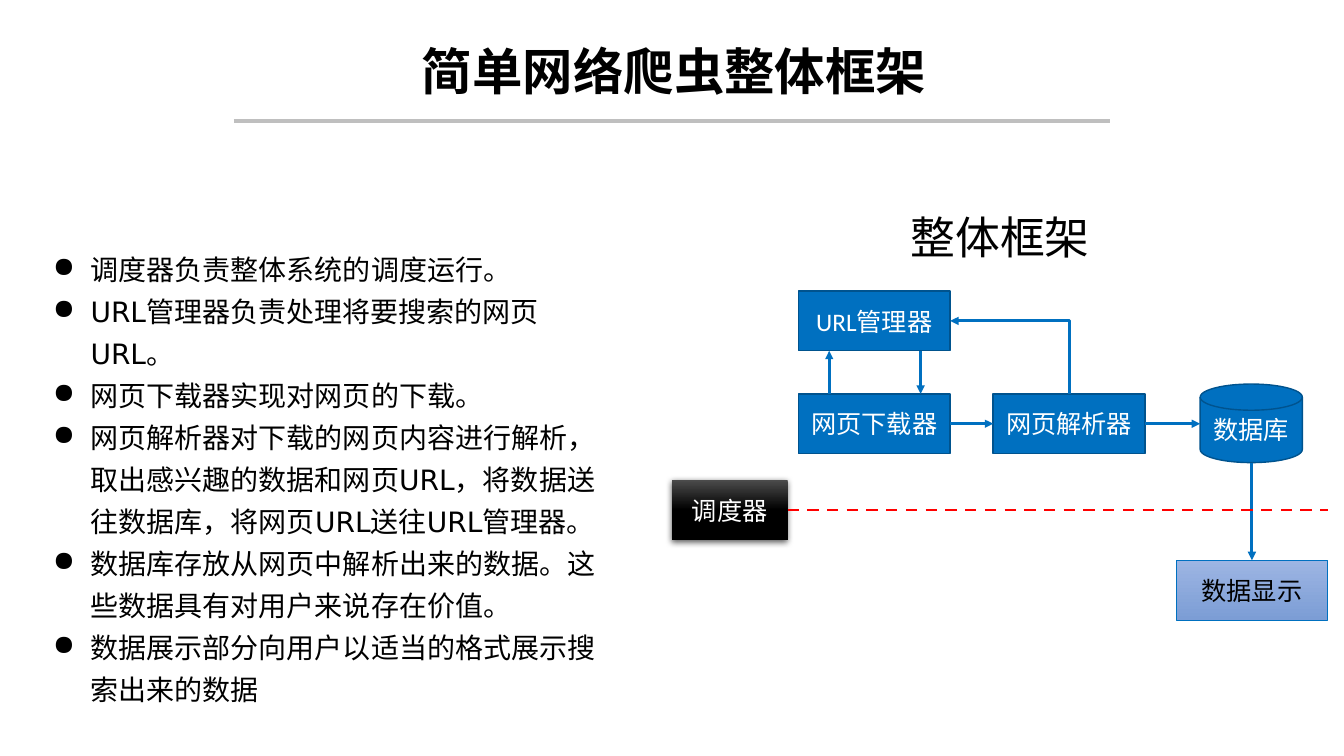
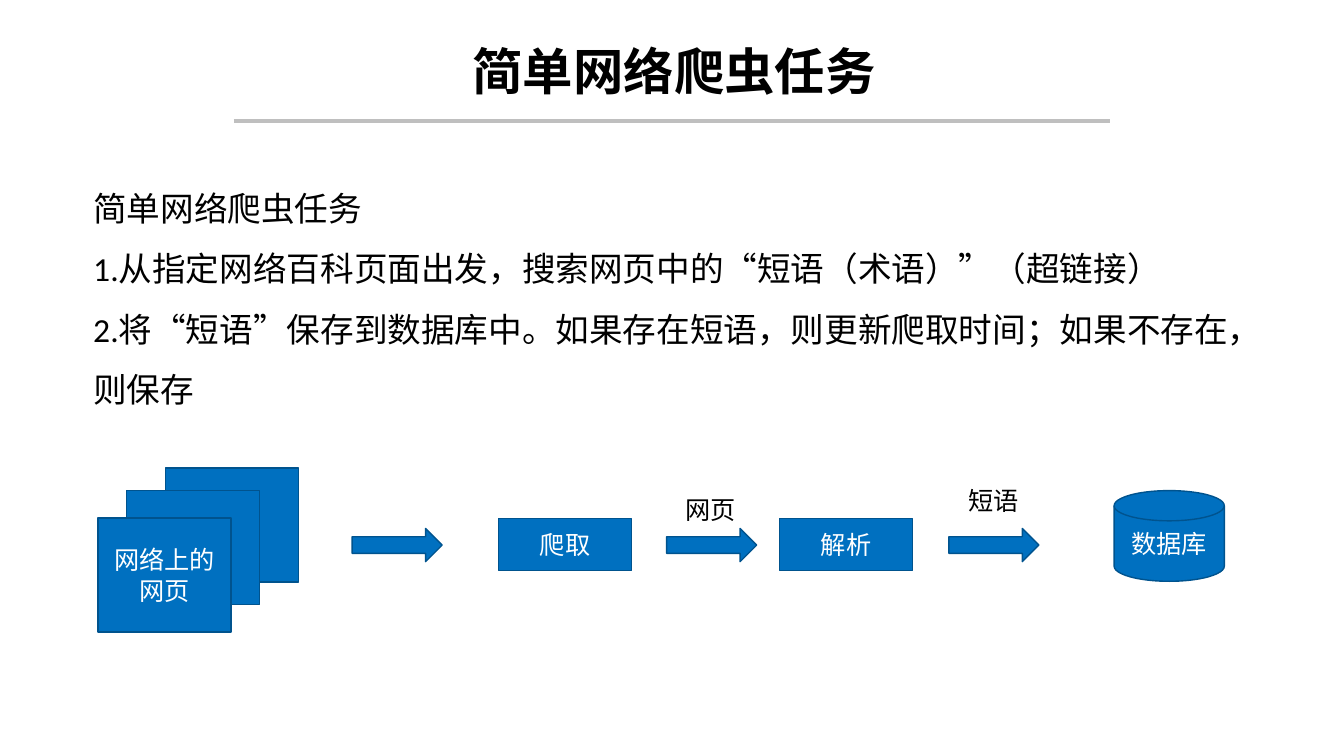
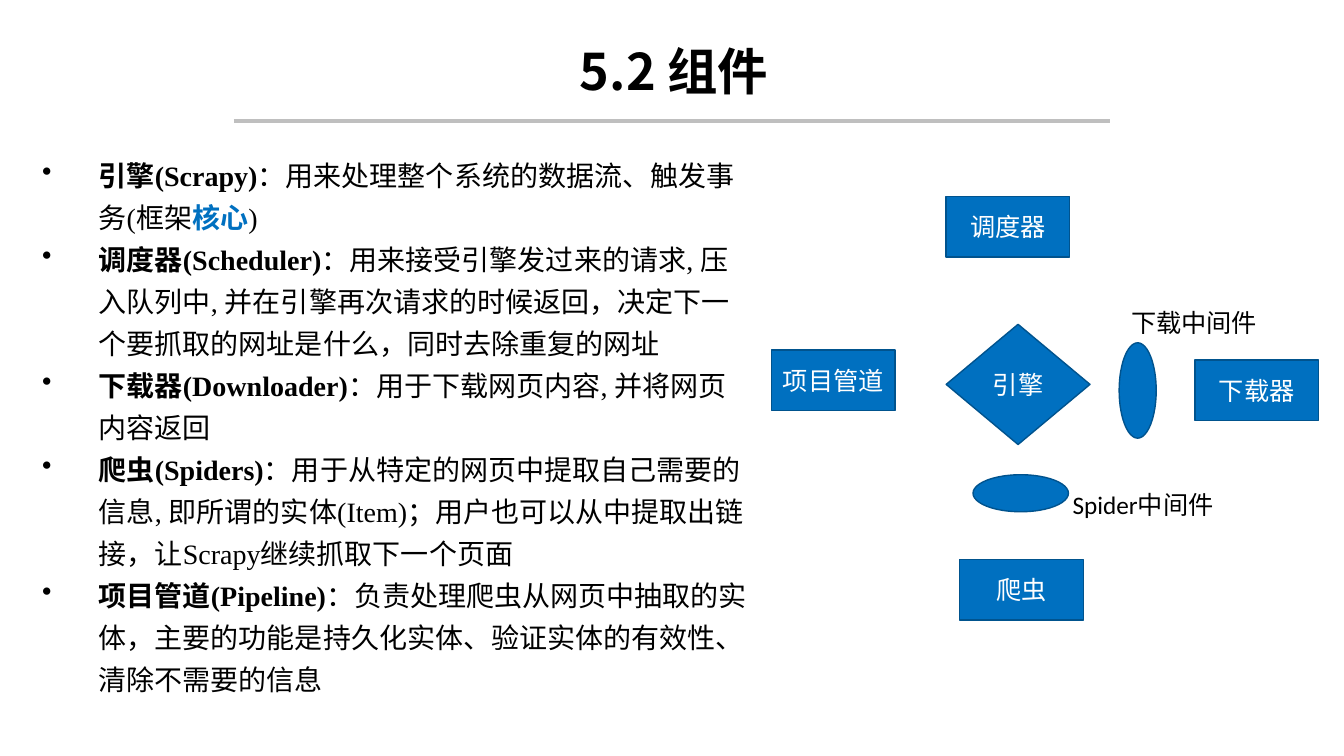
import dataclasses

import lxml.etree
import pptx
import pptx.dml.color
import pptx.enum.dml
import pptx.enum.shapes
import pptx.enum.text
import pptx.oxml.ns
import pptx.util

SHAPE = pptx.enum.shapes.MSO_SHAPE
CONNECTOR = pptx.enum.shapes.MSO_CONNECTOR
ALIGN = pptx.enum.text.PP_ALIGN
ANCHOR = pptx.enum.text.MSO_ANCHOR
TOP, LEFT, BOTTOM, RIGHT = range(4)
WIDTH, HEIGHT = pptx.util.Inches(13.33), pptx.util.Inches(7.5)


@dataclasses.dataclass(frozen=True)
class Theme:
    ink: str = "000000"
    paper: str = "FFFFFF"
    blue: str = "0070C0"
    edge: str = "00538E"
    rule: str = "BFBFBF"
    alert: str = "FF0000"
    dark_fade: tuple = (("4B4B4B", 0), ("000000", 0.5))
    light_fade: tuple = (("9DB5E3", 0), ("7C9DD5", 1))
    title_font: str = "Noto Sans CJK SC"
    body_font: str = "Calibri"
    list_font: str = "DejaVu Sans"
    serif_font: str = "Times New Roman"
    title_size: int = 36
    heading_size: int = 32
    text_size: int = 24
    list_size: int = 20
    label_size: int = 18


T = Theme()


def rgb(color):
    return pptx.dml.color.RGBColor.from_string(color)


def px(share):
    return round(WIDTH * share / 100)


def py(share):
    return round(HEIGHT * share / 100)


def box(x, y, w, h):
    return px(x), py(y), px(w), py(h)


def add_xml(parent, tag, **attrs):
    return lxml.etree.SubElement(parent, pptx.oxml.ns.qn(tag), attrs)


def style(r, size, font, color=T.ink, bold=False):
    r.font.size = pptx.util.Pt(size)
    r.font.name = font
    r.font.bold = bold
    r.font.color.rgb = rgb(color)


def add_text(s, area, paragraphs, size, font, align=ALIGN.LEFT, spacing=1.0,
             bold=False, wrap=True, bullet=None, indent=0, anchor=ANCHOR.TOP):
    tf = s.shapes.add_textbox(*box(*area)).text_frame
    tf.word_wrap = wrap
    tf.vertical_anchor = anchor
    for i, runs in enumerate(paragraphs):
        p = tf.add_paragraph() if i else tf.paragraphs[0]
        if bullet:
            pPr = p._p.get_or_add_pPr()
            pPr.set("marL", str(px(indent)))
            pPr.set("indent", str(-px(indent)))
            add_xml(pPr, "a:buChar", char=bullet)
        p.alignment = align
        p.line_spacing = spacing
        if isinstance(runs, str):
            runs = [(runs, T.ink, bold)]
        for text, color, heavy in runs:
            r = p.add_run()
            r.text = text
            style(r, size, font, color, heavy)


def add_label(s, x, y, w, text, wrap=False):
    add_text(s, (x, y, w, 5.3), [text], T.label_size, T.body_font,
             ALIGN.CENTER, wrap=wrap)


def add_node(s, x, y, size, text="", kind=SHAPE.RECTANGLE, fade=None,
             color=T.paper, edge=T.edge, edge_width=1):
    sp = s.shapes.add_shape(kind, *box(x, y, *size))
    sp.shadow.inherit = False
    if fade:
        sp.fill.gradient()
        sp.fill.gradient_angle = 270
        for stop, (shade, position) in zip(sp.fill.gradient_stops, fade):
            stop.color.rgb = rgb(shade)
            stop.position = position
    else:
        sp.fill.solid()
        sp.fill.fore_color.rgb = rgb(T.blue)
    if edge:
        sp.line.color.rgb = rgb(edge)
        sp.line.width = pptx.util.Pt(edge_width)
    else:
        sp.line.fill.background()
    if text:
        tf = sp.text_frame
        tf.word_wrap = True
        tf.vertical_anchor = ANCHOR.MIDDLE
        p = tf.paragraphs[0]
        p.text = text
        p.alignment = ALIGN.CENTER
        style(p.runs[0], T.label_size, T.body_font, color)
    return sp


def add_drop_shadow(sp):
    effects = sp._element.spPr.find(pptx.oxml.ns.qn("a:effectLst"))
    shadow = add_xml(effects, "a:outerShdw", blurRad=str(pptx.util.Pt(4.5)),
                     dist=str(pptx.util.Pt(1.5)), dir="5400000", rotWithShape="0")
    add_xml(add_xml(shadow, "a:srgbClr", val=T.ink), "a:alpha", val="63000")


def add_line(s, start, end, color=T.blue, width=2, kind=CONNECTOR.STRAIGHT,
             arrow="tailEnd", dashed=False):
    ends = [e if isinstance(e[0], (int, float)) else (0, 0) for e in (start, end)]
    (x1, y1), (x2, y2) = ends
    c = s.shapes.add_connector(kind, px(x1), py(y1), px(x2), py(y2))
    for e, join in ((start, c.begin_connect), (end, c.end_connect)):
        if e not in ends:
            join(*e)
    c.line.color.rgb = rgb(color)
    c.line.width = pptx.util.Pt(width)
    if dashed:
        c.line.dash_style = pptx.enum.dml.MSO_LINE.DASH
    if arrow:
        add_xml(c.line._get_or_add_ln(), f"a:{arrow}", type="triangle")
    add_xml(c._element.spPr, "a:effectLst")
    return c


def add_slide(prs, title):
    s = prs.slides.add_slide(prs.slide_layouts[6])
    add_line(s, (17.4, 16), (82.6, 16), T.rule, 2.25, arrow=None)
    add_text(s, (16.8, 5.3, 66.7, 9.1), [title], T.title_size, T.title_font,
             ALIGN.CENTER, 0.9, bold=True, anchor=ANCHOR.MIDDLE)
    return s


def build_framework(prs):
    s = add_slide(prs, "简单网络爬虫整体框架")
    add_text(s, (67, 23.5, 15, 10.8), ["整体框架"], T.heading_size, T.title_font,
             spacing=1.5, wrap=False)
    add_text(s, (3.2, 31.6, 43.5, 56.8), [
        "调度器负责整体系统的调度运行。",
        "URL管理器负责处理将要搜索的网页URL。",
        "网页下载器实现对网页的下载。",
        "网页解析器对下载的网页内容进行解析，取出感兴趣的数据和网页URL，"
        "将数据送往数据库，将网页URL送往URL管理器。",
        "数据库存放从网页中解析出来的数据。这些数据具有对用户来说存在价值。",
        "数据展示部分向用户以适当的格式展示搜索出来的数据",
    ], T.list_size, T.list_font, spacing=1.25, bullet="●", indent=2.8)

    size = (11.3, 7.9)
    scheduler = add_node(s, 50, 63.5, (8.6, 7.9), "调度器", fade=T.dark_fade, edge=None)
    add_drop_shadow(scheduler)
    manager = add_node(s, 59.4, 38.5, size, "URL管理器")
    parser = add_node(s, 73.9, 52.1, size, "网页解析器")
    downloader = add_node(s, 59.4, 52.1, size, "网页下载器")
    display = add_node(s, 87.5, 74.1, size, "数据显示", fade=T.light_fade,
                       color=T.ink, edge=T.blue, edge_width=0.5)
    add_node(s, 89.3, 50.8, (7.6, 10.4), "数据库", SHAPE.FLOWCHART_MAGNETIC_DISK)

    feedback = add_line(s, (manager, RIGHT), (parser, TOP), kind=CONNECTOR.ELBOW,
                        arrow="headEnd")
    feedback._element.spPr.find(pptx.oxml.ns.qn("a:prstGeom")).set("prst", "bentConnector2")
    add_line(s, (downloader, RIGHT), (parser, LEFT))
    add_line(s, (parser, RIGHT), (89.3, 56.05))
    add_line(s, (93.15, 61.2), (display, TOP))
    add_line(s, (scheduler, RIGHT), (98.8, 67.45), T.alert, arrow=None, dashed=True)
    add_line(s, (68.5, 46.4), (68.5, 52.1))
    add_line(s, (61.7, 52.1), (61.7, 46.4))


def build_task(prs):
    s = add_slide(prs, "简单网络爬虫任务")
    add_text(s, (6.2, 21.5, 86.7, 32.8), [
        "简单网络爬虫任务",
        "1.从指定网络百科页面出发，搜索网页中的“短语（术语）”（超链接）",
        "2.将“短语”保存到数据库中。如果存在短语，则更新爬取时间；如果不存在，则保存",
    ], T.text_size, T.body_font, spacing=1.5)
    for x, y, text in ((12.3, 61.9, ""), (9.4, 64.9, ""), (7.3, 68.5, "网络上的网页")):
        add_node(s, x, y, (9.9, 15.1), text)
    for x in (26.2, 49.6, 70.6):
        add_node(s, x, 69.9, (6.7, 4.4), kind=SHAPE.RIGHT_ARROW)
    for x, text in ((37.1, "爬取"), (58, "解析")):
        add_node(s, x, 68.6, (9.9, 6.9), text)
    add_node(s, 82.9, 64.9, (8.2, 12), "数据库", SHAPE.FLOWCHART_MAGNETIC_DISK)
    add_label(s, 50.2, 64.7, 5.3, "网页")
    add_label(s, 71.3, 63.5, 5.3, "短语")


def build_components(prs):
    s = add_slide(prs, "5.2 组件")
    components = [
        ("引擎(Scrapy)", "：用来处理整个系统的数据流、触发事务(框架"),
        ("调度器(Scheduler)", "：用来接受引擎发过来的请求, 压入队列中, 并在引擎再次请求的时候返回，"
                           "决定下一个要抓取的网址是什么，同时去除重复的网址"),
        ("下载器(Downloader)", "：用于下载网页内容, 并将网页内容返回"),
        ("爬虫(Spiders)", "：用于从特定的网页中提取自己需要的信息, 即所谓的实体(Item)；"
                        "用户也可以从中提取出链接，让Scrapy继续抓取下一个页面"),
        ("项目管道(Pipeline)", "：负责处理爬虫从网页中抽取的实体，主要的功能是持久化实体、"
                           "验证实体的有效性、清除不需要的信息"),
    ]
    paragraphs = [[(name, T.ink, True), (duty, T.ink, False)] for name, duty in components]
    paragraphs[0] += [("核心", T.blue, True), (")", T.ink, False)]
    add_text(s, (2.4, 19.2, 54.3, 73.7), paragraphs, T.list_size, T.serif_font,
             spacing=1.25, bullet="•", indent=4.2)

    for x, y, text in ((70.4, 26, "调度器"), (71.4, 74, "爬虫"),
                       (57.4, 46.3, "项目管道"), (88.9, 47.6, "下载器")):
        add_node(s, x, y, (9.2, 8), text)
    add_node(s, 70.4, 42.9, (10.7, 15.9), "引擎", SHAPE.FLOWCHART_DECISION)
    for x, y, turn in ((72.4, 62.8, 0), (81.1, 49.2, 270)):
        middleware = add_node(s, x, y, (7.1, 4.9), kind=SHAPE.FLOWCHART_CONNECTOR)
        middleware.rotation = turn
    add_label(s, 79, 64.1, 12.1, "Spider中间件", wrap=True)
    add_label(s, 83.4, 40, 10.9, "下载中间件")


def main():
    prs = pptx.Presentation()
    prs.slide_width, prs.slide_height = WIDTH, HEIGHT
    build_framework(prs)
    build_task(prs)
    build_components(prs)
    prs.save("out.pptx")


if __name__ == "__main__":
    main()
